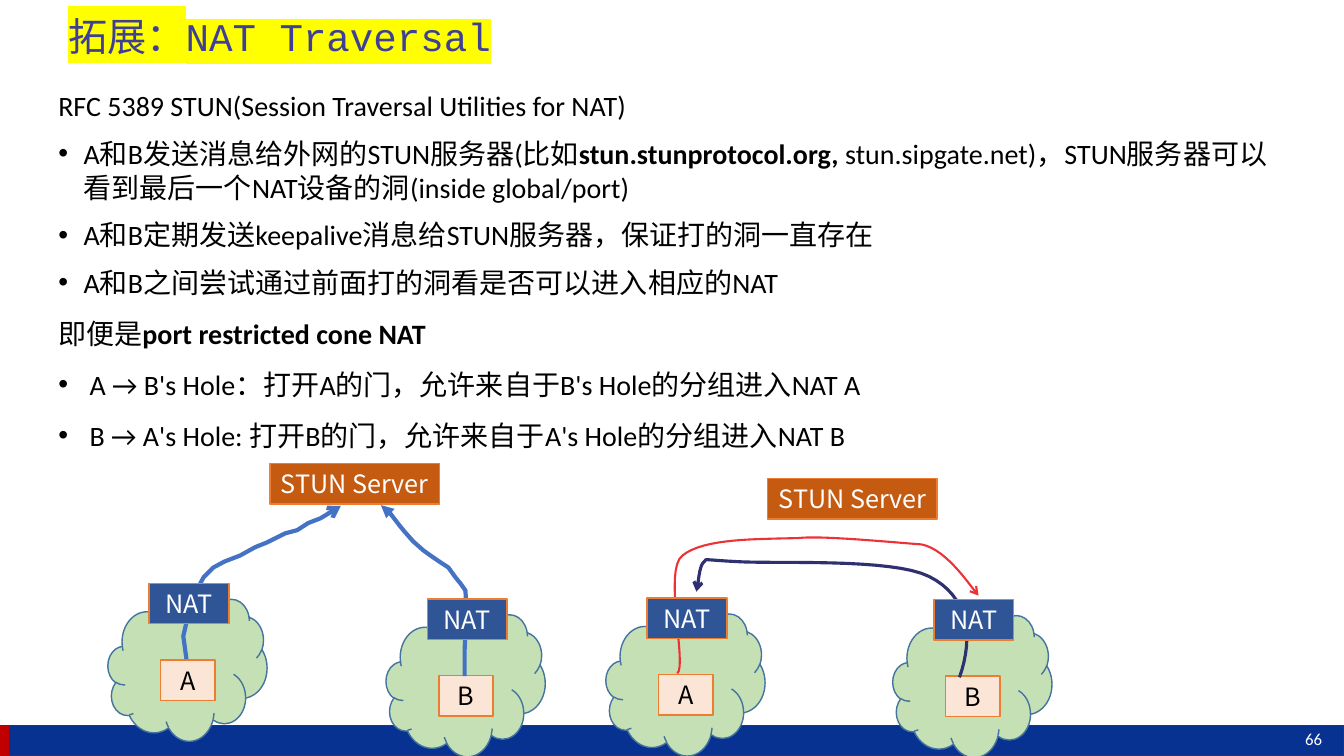
"""Build the NAT traversal slide with its STUN diagrams."""
from lxml.etree import SubElement
from pptx import Presentation
from pptx.dml.color import RGBColor
from pptx.enum.shapes import MSO_SHAPE as Preset
from pptx.enum.text import MSO_ANCHOR as Anchor, PP_ALIGN as Align
from pptx.oxml.ns import qn
from pptx.util import Cm, Pt

WHITE = RGBColor(0xFF, 0xFF, 0xFF)
BLACK = RGBColor(0x00, 0x00, 0x00)
BAR_BLUE = RGBColor(0x07, 0x32, 0x91)
BAR_EDGE = RGBColor(0x2E, 0x2F, 0x6E)
BAR_RED = RGBColor(0xC0, 0x00, 0x00)
TITLE_BLUE = RGBColor(0x3E, 0x40, 0x95)
CLOUD_GREEN = RGBColor(0xC5, 0xE0, 0xB4)
CLOUD_EDGE = RGBColor(0x43, 0x73, 0x9E)
HOST_PEACH = RGBColor(0xFB, 0xE5, 0xD6)
BOX_EDGE = RGBColor(0xED, 0x7D, 0x31)
SERVER_BROWN = RGBColor(0xC5, 0x5A, 0x11)
NAT_BLUE = RGBColor(0x2F, 0x55, 0x97)
STUN_BLUE = RGBColor(0x44, 0x72, 0xC4)
PUNCH_RED = RGBColor(0xED, 0x32, 0x37)
PUNCH_NAVY = RGBColor(0x2F, 0x30, 0x70)


def add_span(para, text, color, **formats):
    span = para.add_run()
    span.text = text
    for name, value in formats.items():
        setattr(span.font, name, value)
    span.font.color.rgb = color
    return span


def add_block(preset, frame, fill, edge=None, label="", color=WHITE):
    block = page.shapes.add_shape(preset, *[Cm(value) for value in frame])
    block.shadow.inherit = False
    block.fill.solid()
    block.fill.fore_color.rgb = fill
    if edge is None:
        block.line.fill.background()
    else:
        block.line.color.rgb = edge
        block.line.width = Pt(1)
    if label:
        block.text_frame.word_wrap = False
        block.text_frame.vertical_anchor = Anchor.MIDDLE
        para = block.text_frame.paragraphs[0]
        para.alignment = Align.CENTER
        add_span(para, label, color, name="Noto Sans CJK SC", size=Pt(18))


deck = Presentation()
deck.slide_width, deck.slide_height = Cm(33.87), Cm(19.05)
page = deck.slides.add_slide(deck.slide_layouts[6])

add_block(Preset.RECTANGLE, (0, 18.29, 33.87, 0.76), BAR_BLUE, BAR_EDGE)
add_block(Preset.RECTANGLE, (0, 18.29, 0.23, 0.76), BAR_RED)
number_box = page.shapes.add_textbox(Cm(32.64), Cm(18.24), Cm(1.96), Cm(0.76))
add_span(number_box.text_frame.paragraphs[0], "66", WHITE, name="Calibri", size=Pt(12))

title_box = page.shapes.add_textbox(Cm(1.47), Cm(0.1), Cm(31.12), Cm(1.78))
title_box.text_frame.word_wrap = True
title_box.text_frame.vertical_anchor = Anchor.MIDDLE
title = title_box.text_frame.paragraphs[0]
title.line_spacing = 0.9
span = add_span(title, "拓展：NAT Traversal", TITLE_BLUE, name="Courier New", size=Pt(28))
highlight = span.font.fill._xPr.makeelement(qn("a:highlight"))
SubElement(highlight, qn("a:srgbClr"), val="FFFF00")
span.font.fill._xPr.find(qn("a:solidFill")).addnext(highlight)

BODY = [
    (0, 1.1, [("RFC 5389 STUN(Session Traversal Utilities for NAT)", False)]),
    (0.64, 1.0, [
        ("A和B发送消息给外网的STUN服务器(比如", False),
        ("stun.stunprotocol.org, ", True),
        ("stun.sipgate.net)，STUN服务器可以看到最后一个NAT设备的洞(inside global/port)", False),
    ]),
    (0.64, 1.0, [("A和B定期发送keepalive消息给STUN服务器，保证打的洞一直存在", False)]),
    (0.64, 1.0, [("A和B之间尝试通过前面打的洞看是否可以进入相应的NAT", False)]),
    (0, 1.1, [("即便是", False), ("port restricted cone NAT", True)]),
    (0.79, 1.1, [("A → B's Hole：打开A的门，允许来自于B's Hole的分组进入NAT A", False)]),
    (0.79, 1.1, [("B → A's Hole: 打开B的门，允许来自于A's Hole的分组进入NAT B", False)]),
]
body_box = page.shapes.add_textbox(Cm(1.22), Cm(2.03), Cm(31.37), Cm(15.6))
body_box.text_frame.word_wrap = True
for index, (indent, spacing, pieces) in enumerate(BODY):
    para = body_box.text_frame.add_paragraph() if index else body_box.text_frame.paragraphs[0]
    para.line_spacing = spacing
    para.space_before = Pt(10 if index else 0)
    if indent:
        properties = para._p.get_or_add_pPr()
        properties.set("marL", str(Cm(indent)))
        properties.set("indent", str(-Cm(indent)))
        SubElement(properties, qn("a:buFont"), typeface="Arial")
        SubElement(properties, qn("a:buChar"), char="•")
    for text, bold in pieces:
        add_span(para, text, BLACK, name="Calibri", size=Pt(20), bold=bold)

SITES = [("A", 2.72, 15.09), ("B", 9.73, 15.48), ("A", 15.27, 15.46), ("B", 22.5, 15.5)]
for host, left, top in SITES:
    add_block(Preset.CLOUD, (left, top, 4.01, 3.58), CLOUD_GREEN, CLOUD_EDGE)
    add_block(Preset.RECTANGLE, (left + 1.33, top + 1.54, 1.37, 1.02),
              HOST_PEACH, BOX_EDGE, host, BLACK)
for left, top in [(6.81, 11.68), (19.35, 12.06)]:
    add_block(Preset.RECTANGLE, (left, top, 4.27, 1.02), SERVER_BROWN, BOX_EDGE, "STUN Server")

A_TO_SERVER = [
    (4.7, 16.61), (4.62, 16.03), (4.72, 15.6), (4.98, 14.83), (5.13, 14.55),
    (5.38, 14.3), (5.66, 14.15), (6.05, 14), (6.43, 13.79), (6.73, 13.67),
    (7.19, 13.44), (7.49, 13.36), (7.77, 13.18), (8.08, 13.06), (8.59, 12.75),
]
B_TO_SERVER = [
    (11.71, 17.04), (11.71, 16.36), (11.76, 15.39), (11.73, 14.88), (11.61, 14.71),
    (11.48, 14.55), (11.3, 14.3), (11.1, 14.17), (10.85, 14), (10.67, 13.87),
    (10.41, 13.64), (10.19, 13.39), (10.06, 13.23), (9.83, 12.93), (9.6, 12.73),
]
A_TO_B = [
    (17.07, 16.97), (17.32, 16.76), (16.71, 14.35), (17.2, 14), (17.73, 13.56),
    (19.1, 13.59), (20.12, 13.56), (20.68, 13.49), (22.53, 13.67), (23.22, 13.72),
    (23.88, 13.84), (24.51, 14.86), (24.66, 15.01),
]
B_TO_A = [
    (24.18, 17.07), (24.56, 16), (24.38, 15.01), (23.42, 14.53), (22.48, 14.05),
    (19.48, 14.22), (18.52, 14.15), (17.58, 14.1), (17.86, 14.07), (17.73, 14.17),
    (17.6, 14.3), (17.6, 14.81), (17.55, 14.91),
]
STEPS = 16
ROUTES = [
    (A_TO_SERVER, False, STUN_BLUE, 3, "arrow"),
    (B_TO_SERVER, False, STUN_BLUE, 3, "triangle"),
    (A_TO_B, True, PUNCH_RED, 1.5, "arrow"),
    (B_TO_A, True, PUNCH_NAVY, 2.25, "arrow"),
]
for points, curved, color, width, head in ROUTES:
    track = points
    if curved:
        track = points[:1]
        for start in range(0, len(points) - 1, 3):
            corners = points[start:start + 4]
            for step in range(1, STEPS + 1):
                t = step / STEPS
                weights = ((1 - t) ** 3, 3 * t * (1 - t) ** 2, 3 * t * t * (1 - t), t ** 3)
                track.append(tuple(sum(weight * corner[axis] for weight, corner
                                       in zip(weights, corners)) for axis in (0, 1)))
    track = [(Cm(x), Cm(y)) for x, y in track]
    builder = page.shapes.build_freeform(*track[0])
    builder.add_line_segments(track[1:], close=False)
    route = builder.convert_to_shape()
    route.shadow.inherit = False
    route.fill.background()
    route.line.color.rgb = color
    route.line.width = Pt(width)
    outline = route.line._get_or_add_ln()
    SubElement(outline, qn("a:round"))
    SubElement(outline, qn("a:tailEnd"), type=head)

for host, left, top in SITES:
    add_block(Preset.RECTANGLE, (left + 1.04, top - 0.39, 2.01, 1.02), NAT_BLUE, BOX_EDGE, "NAT")

deck.save("out.pptx")
